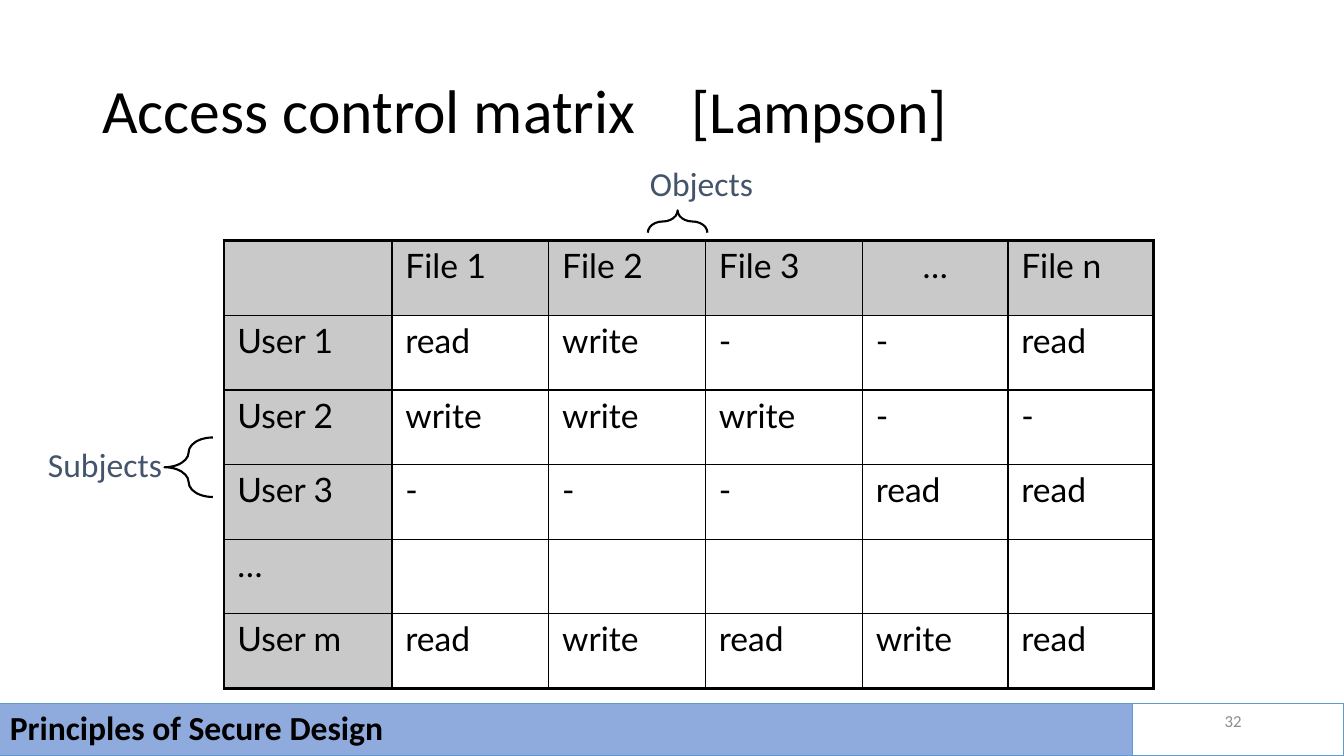
from dataclasses import dataclass

from lxml.etree import SubElement
from pptx import Presentation
from pptx.dml.color import RGBColor
from pptx.enum.shapes import MSO_SHAPE
from pptx.enum.text import MSO_ANCHOR, PP_ALIGN
from pptx.oxml.ns import qn
from pptx.util import Pt


@dataclass(frozen=True)
class Theme:
    ink: str = "000000"
    label: str = "44546A"
    muted: str = "8C8C8C"
    header: str = "C9C9C9"
    footer: str = "8FAADC"
    footer_line: str = "5B9BD5"
    body_font: str = "Calibri"
    table_font: str = "Lato"
    title_size: float = 44
    source_size: float = 42.7
    text_size: float = 24
    number_size: float = 12
    thin: float = 1
    thick: float = 2.25


THEME = Theme()
MATRIX = [
    ["", "File 1", "File 2", "File 3", "…", "File n"],
    ["User 1", "read", "write", "-", "-", "read"],
    ["User 2", "write", "write", "write", "-", "-"],
    ["User 3", "-", "-", "-", "read", "read"],
    ["…", "", "", "", "", ""],
    ["User m", "read", "write", "read", "write", "read"],
]
COLUMN_WIDTHS = [120, 112, 112, 112, 104, 104]
ROW_HEIGHT = 53.3


def rgb(color):
    return RGBColor.from_string(color)


def style(p, size, color=THEME.ink, font=THEME.body_font, bold=False):
    p.font.size = Pt(size)
    p.font.name = font
    p.font.bold = bold
    p.font.color.rgb = rgb(color)


def add_text_frame(s, box):
    tf = s.shapes.add_textbox(*map(Pt, box)).text_frame
    tf.word_wrap = True
    tf.vertical_anchor = MSO_ANCHOR.MIDDLE
    return tf


def add_text(s, box, text, size, color, align):
    p = add_text_frame(s, box).paragraphs[0]
    p.text = text
    p.alignment = align
    style(p, size, color)


def add_title(s, box, text, source, source_offset):
    p = add_text_frame(s, box).paragraphs[0]
    tabs = SubElement(p._p.get_or_add_pPr(), qn("a:tabLst"))
    SubElement(tabs, qn("a:tab"), pos=str(Pt(source_offset)), algn="l")
    p.line_spacing = 0.9
    style(p, THEME.title_size)
    p.add_run().text = text + "\t"
    r = p.add_run()
    r.text = source
    r.font.size = Pt(THEME.source_size)


def add_shape(s, kind, box, line, width, fill=None):
    sp = s.shapes.add_shape(kind, *map(Pt, box))
    sp.shadow.inherit = False
    if fill:
        sp.fill.solid()
        sp.fill.fore_color.rgb = rgb(fill)
    else:
        sp.fill.background()
    sp.line.color.rgb = rgb(line)
    sp.line.width = Pt(width)
    return sp


def add_brace(s, box, curve, rotation=0):
    sp = add_shape(s, MSO_SHAPE.LEFT_BRACE, box, THEME.ink, 1.5)
    sp.adjustments[0] = curve
    sp.rotation = rotation


def add_footer(s, box, text):
    sp = add_shape(s, MSO_SHAPE.RECTANGLE, box, THEME.footer_line, 0.75, THEME.footer)
    tf = sp.text_frame
    tf.vertical_anchor = MSO_ANCHOR.MIDDLE
    p = tf.paragraphs[0]
    p.text = text
    p.alignment = PP_ALIGN.LEFT
    p.line_spacing = 0.9
    style(p, THEME.text_size, bold=True)


def set_borders(cell, outer):
    tc_pr = cell._tc.get_or_add_tcPr()
    for side in "LRTB":
        width = THEME.thick if side in outer else THEME.thin
        ln = SubElement(tc_pr, qn(f"a:ln{side}"), w=str(Pt(width)))
        fill = SubElement(ln, qn("a:solidFill"))
        SubElement(fill, qn("a:srgbClr"), val=THEME.ink)


def fill_cell(cell, text, is_header, outer):
    set_borders(cell, outer)
    if is_header:
        cell.fill.solid()
        cell.fill.fore_color.rgb = rgb(THEME.header)
    else:
        cell.fill.background()
    cell.margin_left = cell.margin_right = Pt(9.6)
    cell.margin_top = cell.margin_bottom = Pt(3.6)
    p = cell.text_frame.paragraphs[0]
    p.text = text
    style(p, THEME.text_size, font=THEME.table_font)


def add_matrix(s, left, top):
    rows, cols = len(MATRIX), len(COLUMN_WIDTHS)
    size = sum(COLUMN_WIDTHS), rows * ROW_HEIGHT
    table = s.shapes.add_table(rows, cols, *map(Pt, (left, top, *size))).table
    table.first_row = table.horz_banding = False
    for column, width in zip(table.columns, COLUMN_WIDTHS):
        column.width = Pt(width)
    for i, values in enumerate(MATRIX):
        table.rows[i].height = Pt(ROW_HEIGHT)
        for j, text in enumerate(values):
            edges = {"L": j == 0, "R": j == cols - 1, "T": i == 0, "B": i == rows - 1}
            outer = [side for side, at_edge in edges.items() if at_edge]
            fill_cell(table.cell(i, j), text, i == 0 or j == 0, outer)
    table.cell(0, 4).text_frame.paragraphs[0].alignment = PP_ALIGN.CENTER


def main():
    prs = Presentation()
    prs.slide_width, prs.slide_height = Pt(960), Pt(540)
    s = prs.slides.add_slide(prs.slide_layouts[6])
    add_title(s, (66, 29, 828, 104), "Access control matrix", "[Lampson]", 421)
    add_matrix(s, 160, 172)
    for text, box in (("Subjects", (15, 313, 120, 37)), ("Objects", (441, 112, 120, 37))):
        add_text(s, box, text, THEME.text_size, THEME.label, PP_ALIGN.CENTER)
    add_brace(s, (117.5, 312.5, 34.5, 42.5), 2.22)
    add_brace(s, (476, 137, 16, 42.5), 3.46, 90)
    add_footer(s, (0, 502.5, 809, 37.5), "Principles of Secure Design")
    add_shape(s, MSO_SHAPE.RECTANGLE, (809, 502.5, 151, 37.5), THEME.footer_line, 0.75)
    add_text(s, (678, 500.5, 216, 29), "32", THEME.number_size, THEME.muted, PP_ALIGN.RIGHT)
    prs.save("out.pptx")


if __name__ == "__main__":
    main()
